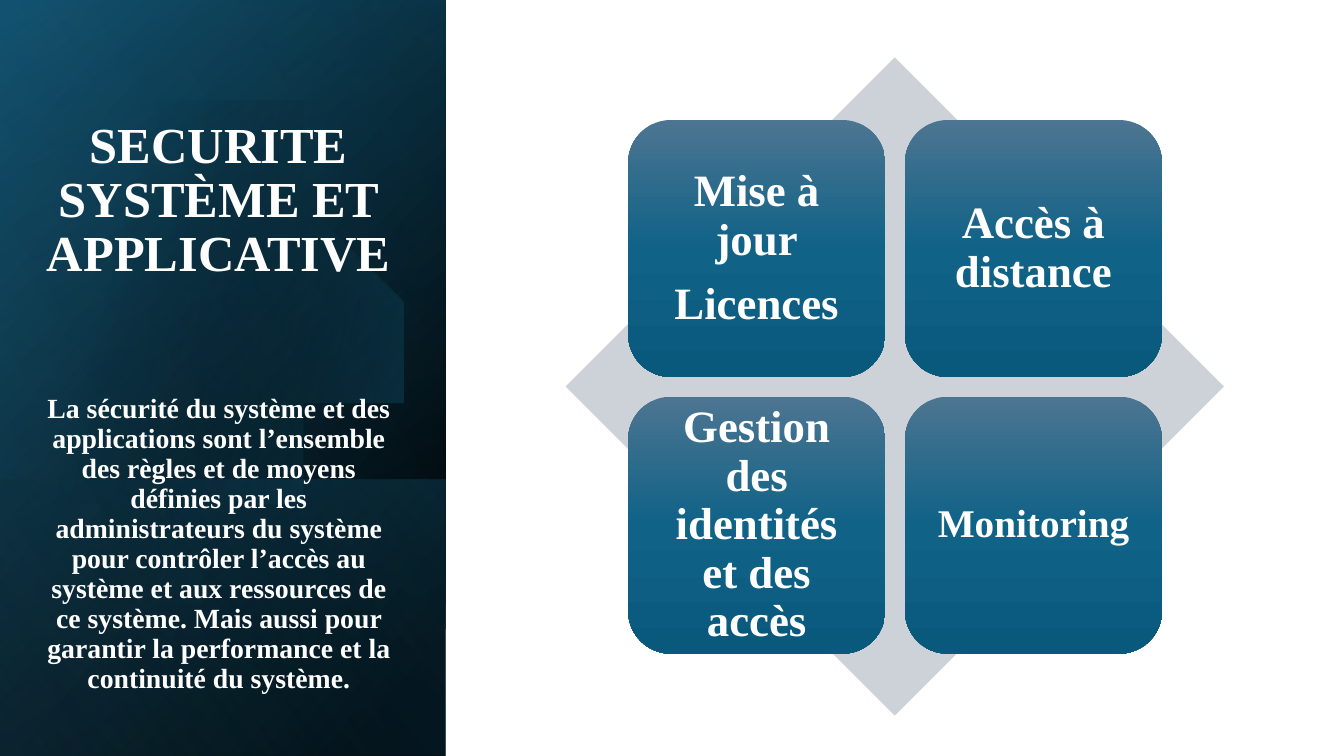
from lxml import etree
from pptx import Presentation
from pptx.dml.color import RGBColor
from pptx.enum.shapes import MSO_SHAPE
from pptx.enum.text import MSO_ANCHOR, MSO_AUTO_SIZE, PP_ALIGN
from pptx.oxml.ns import qn
from pptx.util import Inches, Pt

RECTANGLE = MSO_SHAPE.RECTANGLE
ROUNDED = MSO_SHAPE.ROUNDED_RECTANGLE
DIAMOND = MSO_SHAPE.DIAMOND
MIDDLE, BOTTOM = MSO_ANCHOR.MIDDLE, MSO_ANCHOR.BOTTOM
CENTER = PP_ALIGN.CENTER
NO_FIT = MSO_AUTO_SIZE.NONE

COLORS = {
    "white": "FFFFFF", "black": "000000", "navy": "104862", "blue": "156082",
    "sky": "46B1E1", "diamond": "CCD2D8",
    "tile top": "4C7591", "tile middle": "106287", "tile bottom": "09597D",
}
FONT = "Times New Roman"


def paint(shape, stops, angle=0):
    """Fill with one colour name, or with (position, colour, opacity) stops."""
    shape.shadow.inherit = False
    shape.line.fill.background()
    if isinstance(stops, str):
        shape.fill.solid()
        shape.fill.fore_color.rgb = RGBColor.from_string(COLORS[stops])
        return
    shape.fill.gradient()
    gradient = shape.element.spPr.find(qn("a:gradFill"))
    for child in list(gradient):
        gradient.remove(child)
    gradient.set("rotWithShape", "1")
    stop_list = etree.SubElement(gradient, qn("a:gsLst"))
    for position, color, opacity in stops:
        stop = etree.SubElement(stop_list, qn("a:gs"), pos=str(position * 1000))
        tint = etree.SubElement(stop, qn("a:srgbClr"), val=COLORS[color])
        etree.SubElement(tint, qn("a:alpha"), val=str(opacity * 1000))
    etree.SubElement(gradient, qn("a:lin"), ang=str(angle * 60000), scaled="0")


def write(box, paragraphs, anchor=MIDDLE, inset=None, after=0):
    """Write (text, size, space before) paragraphs in bold white."""
    frame = box.text_frame
    frame.auto_size = NO_FIT
    frame.word_wrap = True
    frame.vertical_anchor = anchor
    if inset is not None:
        frame.margin_left = frame.margin_right = Inches(inset)
        frame.margin_top = frame.margin_bottom = Inches(inset)
    for index, (text, size, before) in enumerate(paragraphs):
        para = frame.add_paragraph() if index else frame.paragraphs[0]
        para.alignment = CENTER
        para.line_spacing = 0.9
        para.space_before, para.space_after = Pt(before), Pt(after)
        span = para.add_run()
        span.text = text
        span.font.name, span.font.size, span.font.bold = FONT, Pt(size), True
        span.font.color.rgb = RGBColor.from_string(COLORS["white"])


deck = Presentation()
deck.slide_width, deck.slide_height = Inches(13.33), Inches(7.5)
page = deck.slides.add_slide(deck.slide_layouts[5])
shapes = page.shapes

# White backdrop
backdrop = shapes.add_shape(RECTANGLE, 0, 0, deck.slide_width, deck.slide_height)
paint(backdrop, "white")

# Left panel: layered gradients, each a turned and mirrored rectangle
FULL_PANEL = (-1.54, 1.54, 7.5, 4.42)
LOWER_PANEL = (0.84, 3.92, 2.74, 4.42)
LAYERS = [
    (FULL_PANEL, 50, [(8, "black", 100), (100, "navy", 100)]),
    (FULL_PANEL, 30, [(0, "black", 0), (99, "blue", 46)]),
    (LOWER_PANEL, 130, [(2, "blue", 29), (100, "black", 30)]),
    ("glow", 14, [(29, "black", 0), (100, "blue", 43)]),
    (FULL_PANEL, 120, [(0, "black", 0), (99, "sky", 11)]),
]

# Round glow, cut straight at the slide's left edge
GLOW_START = (1.49, 1.1)
GLOW_CURVES = [
    ((2.46, 1.12), (3.35, 1.77), (3.63, 2.75)),
    ((3.98, 3.97), (3.28, 5.23), (2.07, 5.58)),
    ((1.31, 5.8), (0.53, 5.61), (0, 5.14)),
    ((0, 5.14), (0, 1.61), (0, 1.61)),
    ((0.23, 1.42), (0.5, 1.28), (0.8, 1.19)),
    ((1.03, 1.13), (1.26, 1.1), GLOW_START),
]
STEPS = 16
glow_points = []
start = GLOW_START
for first, second, end in GLOW_CURVES:
    for step in range(1, STEPS + 1):
        t = step / STEPS
        weights = ((1 - t) ** 3, 3 * t * (1 - t) ** 2, 3 * t * t * (1 - t), t ** 3)
        corners = (start, first, second, end)
        glow_points.append(tuple(
            sum(weight * corner[axis] for weight, corner in zip(weights, corners))
            for axis in (0, 1)))
    start = end

for bounds, angle, stops in LAYERS:
    if bounds == "glow":
        builder = shapes.build_freeform(*GLOW_START, scale=Inches(1))
        builder.add_line_segments(glow_points, close=True)
        layer = builder.convert_to_shape()
    else:
        layer = shapes.add_shape(RECTANGLE, *map(Inches, bounds))
        layer.rotation = 90
        layer.element.spPr.find(qn("a:xfrm")).set("flipH", "1")
    paint(layer, stops, angle)

# Title and definition, brought in front of the panel
title = shapes.title
title.left, title.top = Inches(0.34), Inches(0.57)
title.width, title.height = Inches(3.66), Inches(6.37)
title.element.getparent().append(title.element)
write(title, [
    ("SECURITE SYSTÈME ET APPLICATIVE", 36, 0),
    ("La sécurité du système et des applications sont l’ensemble des règles et "
     "de moyens définies par les administrateurs du système pour contrôler "
     "l’accès au système et aux ressources de ce système. Mais aussi pour "
     "garantir la performance et la continuité du système.", 19.8, 80),
], anchor=BOTTOM)

# Diamond behind a two by two grid of tiles
diamond = shapes.add_shape(DIAMOND, *map(Inches, (5.61, 0.57, 6.53, 6.53)))
paint(diamond, "diamond")

TILE, PITCH = 2.55, 2.745
GRID_LEFT, GRID_TOP = 6.23, 1.19
TILE_STOPS = [(0, "tile top", 100), (50, "tile middle", 100), (100, "tile bottom", 100)]
TILES = [
    [("Mise à jour", 32, 0), ("Licences", 32, 0)],
    [("Accès à distance", 32, 0)],
    [("Gestion des identités et des accès", 32, 0)],
    [("Monitoring", 28, 0)],
]
for index, paragraphs in enumerate(TILES):
    row, column = divmod(index, 2)
    tile = shapes.add_shape(
        ROUNDED, Inches(GRID_LEFT + column * PITCH), Inches(GRID_TOP + row * PITCH),
        Inches(TILE), Inches(TILE))
    paint(tile, TILE_STOPS, 90)
    write(tile, paragraphs, inset=0.13, after=11)

deck.save("out.pptx")
